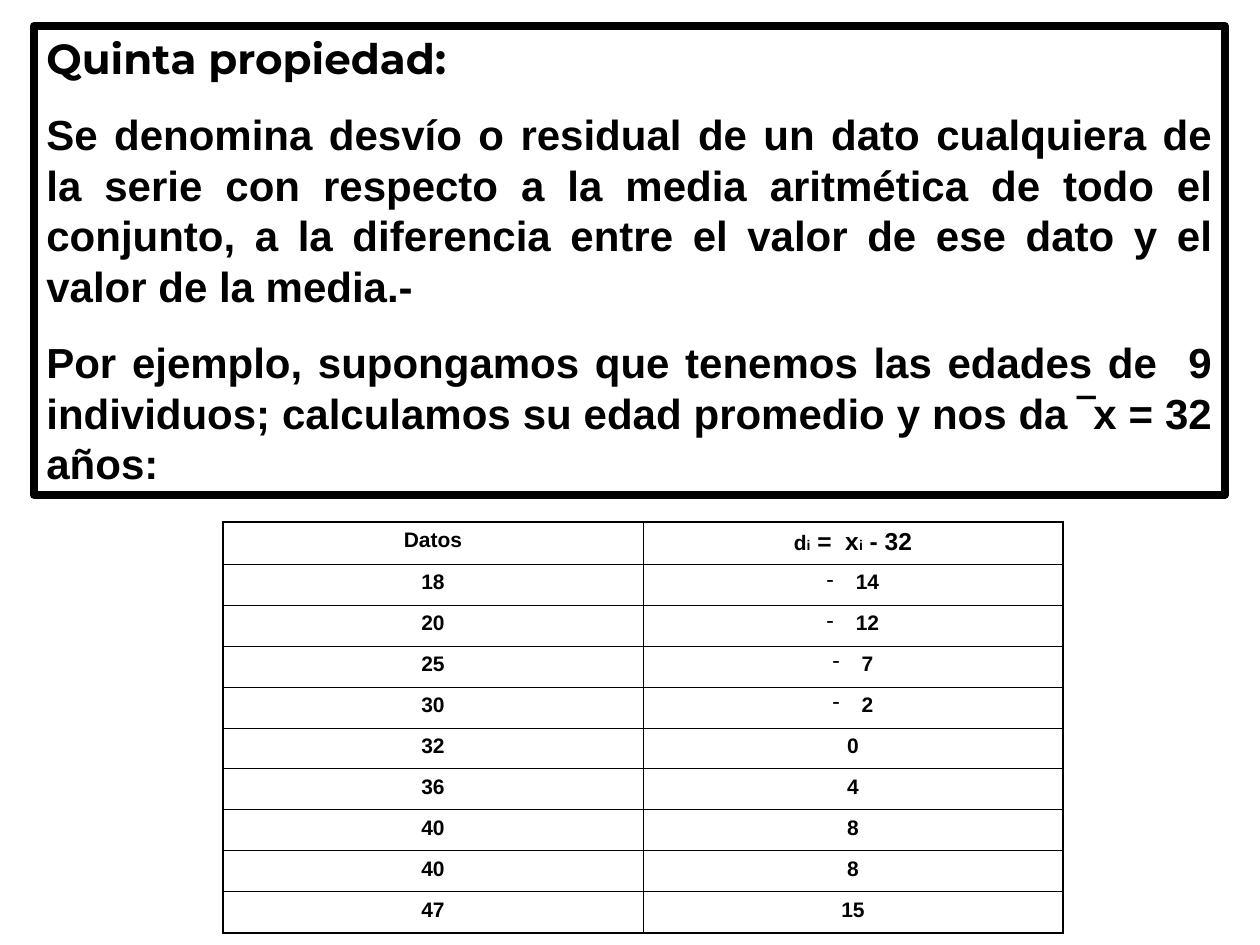
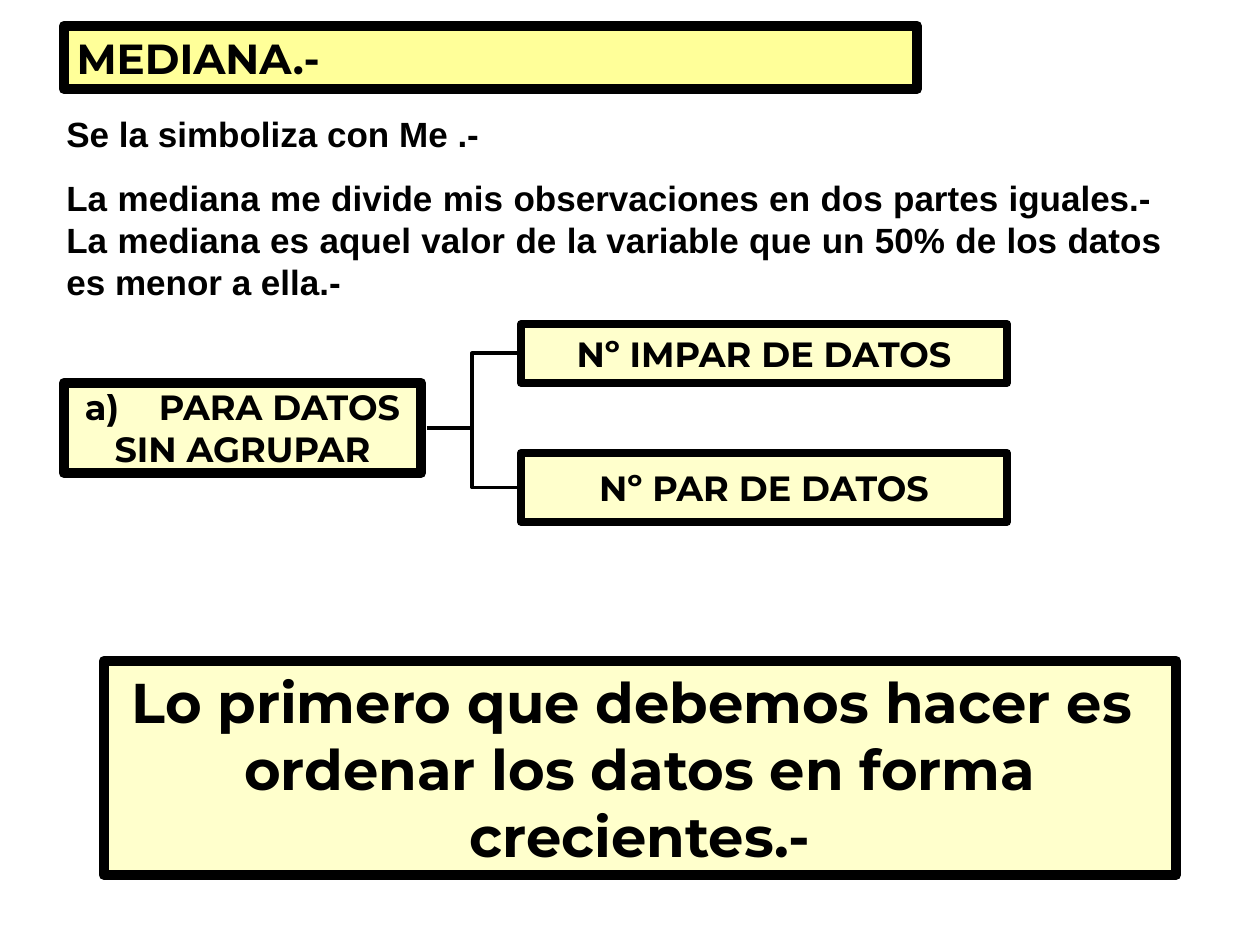
import lxml.etree
import pptx
import pptx.dml.color
import pptx.enum.shapes
import pptx.enum.text
import pptx.oxml.ns
import pptx.util

ALIGN = pptx.enum.text.PP_ALIGN
ANCHOR = pptx.enum.text.MSO_ANCHOR

# Shared look
PX_PER_INCH = 126
BLACK, STRONG_YELLOW, PALE_YELLOW = "000000", "FFFF99", "FFFFCC"
HEADING_FONT, BODY_FONT = "Montserrat", "Arial"
THICK, MEDIUM, CONNECTOR_WIDTH = 6, 4.5, 2.25
OUTER_BORDER, INNER_BORDER = 1.08, 0.45
TITLE_ONLY, BLANK = 5, 6


def px(length):
    return pptx.util.Emu(round(length * 914400 / PX_PER_INCH))


def color(value):
    return pptx.dml.color.RGBColor.from_string(value)


def add_child(parent, tag, **attributes):
    child = lxml.etree.SubElement(parent, pptx.oxml.ns.qn(tag))
    for name, value in attributes.items():
        child.set(name, str(value))
    return child


def add_run(paragraph, text, size, font=BODY_FONT):
    run = paragraph.add_run()
    run.text = text
    run.font.name = font
    run.font.size = pptx.util.Pt(size)
    run.font.bold = True
    run.font.color.rgb = color(BLACK)


def hang_marker(paragraph, width, tag, **attributes):
    """Put a bullet or number in a hanging indent before the text."""
    properties = paragraph._p.get_or_add_pPr()
    properties.set("marL", str(px(width)))
    properties.set("indent", str(-px(width)))
    add_child(properties, "a:buFontTx")
    add_child(properties, tag, **attributes)


def write_paragraphs(frame, paragraphs, size, align, gap=0, anchor=ANCHOR.TOP):
    """Fill a text frame with (text, font) paragraphs set apart by gap."""
    frame.word_wrap = True
    frame.auto_size = pptx.enum.text.MSO_AUTO_SIZE.NONE
    frame.vertical_anchor = anchor
    for index, (text, font) in enumerate(paragraphs):
        paragraph = frame.add_paragraph() if index else frame.paragraphs[0]
        paragraph.alignment = align
        paragraph.space_before = pptx.util.Pt(gap if index else 0)
        add_run(paragraph, text, size, font)


def style_box(shape, fill, line_width):
    if fill:
        shape.fill.solid()
        shape.fill.fore_color.rgb = color(fill)
    else:
        shape.fill.background()
    shape.line.color.rgb = color(BLACK)
    shape.line.width = pptx.util.Pt(line_width)


def add_box(slide, bounds, fill, line_width):
    shape = slide.shapes.add_shape(
        pptx.enum.shapes.MSO_SHAPE.RECTANGLE, *map(px, bounds))
    shape.shadow.inherit = False
    style_box(shape, fill, line_width)
    return shape


def add_label(slide, bounds, lines, line_width, size=20, anchor=ANCHOR.MIDDLE):
    """Pale yellow box with centred heading text."""
    shape = add_box(slide, bounds, PALE_YELLOW, line_width)
    write_paragraphs(shape.text_frame, [(line, HEADING_FONT) for line in lines],
                     size, ALIGN.CENTER, anchor=anchor)
    return shape


def set_title(slide, text, bounds):
    title = slide.shapes.title
    title.left, title.top, title.width, title.height = map(px, bounds)
    style_box(title, STRONG_YELLOW, THICK)
    write_paragraphs(title.text_frame, [(text, HEADING_FONT)], 24, ALIGN.LEFT)


def add_branch(slide, start, end):
    connector = slide.shapes.add_connector(
        pptx.enum.shapes.MSO_CONNECTOR.ELBOW, *map(px, start + end))
    connector.line.color.rgb = color(BLACK)
    connector.line.width = pptx.util.Pt(CONNECTOR_WIDTH)
    add_child(connector._element.spPr, "a:effectLst")


def set_borders(cell, outer_sides):
    properties = cell._tc.get_or_add_tcPr()
    for side in "LRTB":
        width = OUTER_BORDER if side in outer_sides else INNER_BORDER
        line = add_child(properties, f"a:ln{side}", w=pptx.util.Pt(width))
        add_child(add_child(line, "a:solidFill"), "a:srgbClr", val=BLACK)


def add_deviation_table(slide, left, top, column_width, header_height,
                        row_height, header, ages, mean):
    rows = [header]
    rows += [([(str(age), 12)], [(str(abs(age - mean)), 12)]) for age in ages]
    height = header_height + row_height * len(ages)
    table = slide.shapes.add_table(
        len(rows), 2, px(left), px(top), px(2 * column_width), px(height)).table
    table.first_row = table.horz_banding = False
    for column in table.columns:
        column.width = px(column_width)
    for row_index, row in enumerate(rows):
        table.rows[row_index].height = px(row_height if row_index else header_height)
        for column_index, runs in enumerate(row):
            cell = table.cell(row_index, column_index)
            paragraph = cell.text_frame.paragraphs[0]
            paragraph.alignment = ALIGN.CENTER
            for text, size in runs:
                add_run(paragraph, text, size)
            # Values under the mean carry a dash as their minus sign
            if row_index and column_index and ages[row_index - 1] < mean:
                hang_marker(paragraph, 29, "a:buChar", char="-")
            outer_sides = "R" if column_index else "L"
            if row_index == 0:
                outer_sides += "T"
            if row_index == len(rows) - 1:
                outer_sides += "B"
            set_borders(cell, outer_sides)
            cell.fill.background()


def build_fifth_property(presentation):
    slide = presentation.slides.add_slide(presentation.slide_layouts[BLANK])
    # Definition
    definition = add_box(slide, (34, 26, 1191, 469), None, MEDIUM)
    write_paragraphs(definition.text_frame, [
        ("Quinta propiedad:", HEADING_FONT),
        ("Se denomina desvío o residual de un dato cualquiera de la serie con "
         "respecto a la media aritmética de todo el conjunto, a la diferencia "
         "entre el valor de ese dato y el valor de la media.-", BODY_FONT),
        ("Por ejemplo, supongamos que tenemos las edades de  9 individuos; "
         "calculamos su edad promedio y nos da ‾x = 32 años: ", BODY_FONT),
    ], 24, ALIGN.JUSTIFY, gap=15)
    # Deviations from the mean age
    header = ([("Datos", 12)],
              [("d", 12), ("i", 8), (" =  x", 14), ("i", 8), (" - 32", 14)])
    add_deviation_table(slide, 223, 522, 420, 42, 41, header,
                        [18, 20, 25, 30, 32, 36, 40, 40, 47], 32)


def build_median(presentation):
    slide = presentation.slides.add_slide(presentation.slide_layouts[TITLE_ONLY])
    set_title(slide, "MEDIANA.-", (64, 26, 853, 63))
    # Explanation
    explanation = slide.shapes.add_textbox(*map(px, (54, 106, 1121, 203)))
    write_paragraphs(explanation.text_frame, [
        ("Se la simboliza con Me .- ", BODY_FONT),
        ("La mediana me divide mis observaciones en dos partes iguales.-  "
         "La mediana es aquel valor de la variable que un 50% de los datos "
         "es menor a ella.-", BODY_FONT),
    ], 20, ALIGN.JUSTIFY, gap=12.5)
    # Ungrouped data and its two cases
    ungrouped = add_label(slide, (64, 383, 357, 90),
                          ["PARA DATOS", "SIN AGRUPAR"], THICK)
    hang_marker(ungrouped.text_frame.paragraphs[0], 74,
                "a:buAutoNum", type="alphaLcParenR")
    for text, top, height in (("Nº IMPAR DE DATOS", 324, 59),
                              ("Nº PAR DE DATOS", 453, 69)):
        add_label(slide, (521, top, 486, height), [text], MEDIUM)
        add_branch(slide, (427, 428), (517, top + height / 2))
    # First step
    add_label(slide, (104, 661, 1072, 214),
              ["Lo primero que debemos hacer es  ordenar los datos en forma "
               "crecientes.-"], THICK, size=32, anchor=ANCHOR.TOP)


def main():
    presentation = pptx.Presentation()
    presentation.slide_width = px(1260)
    presentation.slide_height = px(945)
    build_fifth_property(presentation)
    build_median(presentation)
    presentation.save("out.pptx")


if __name__ == "__main__":
    main()
